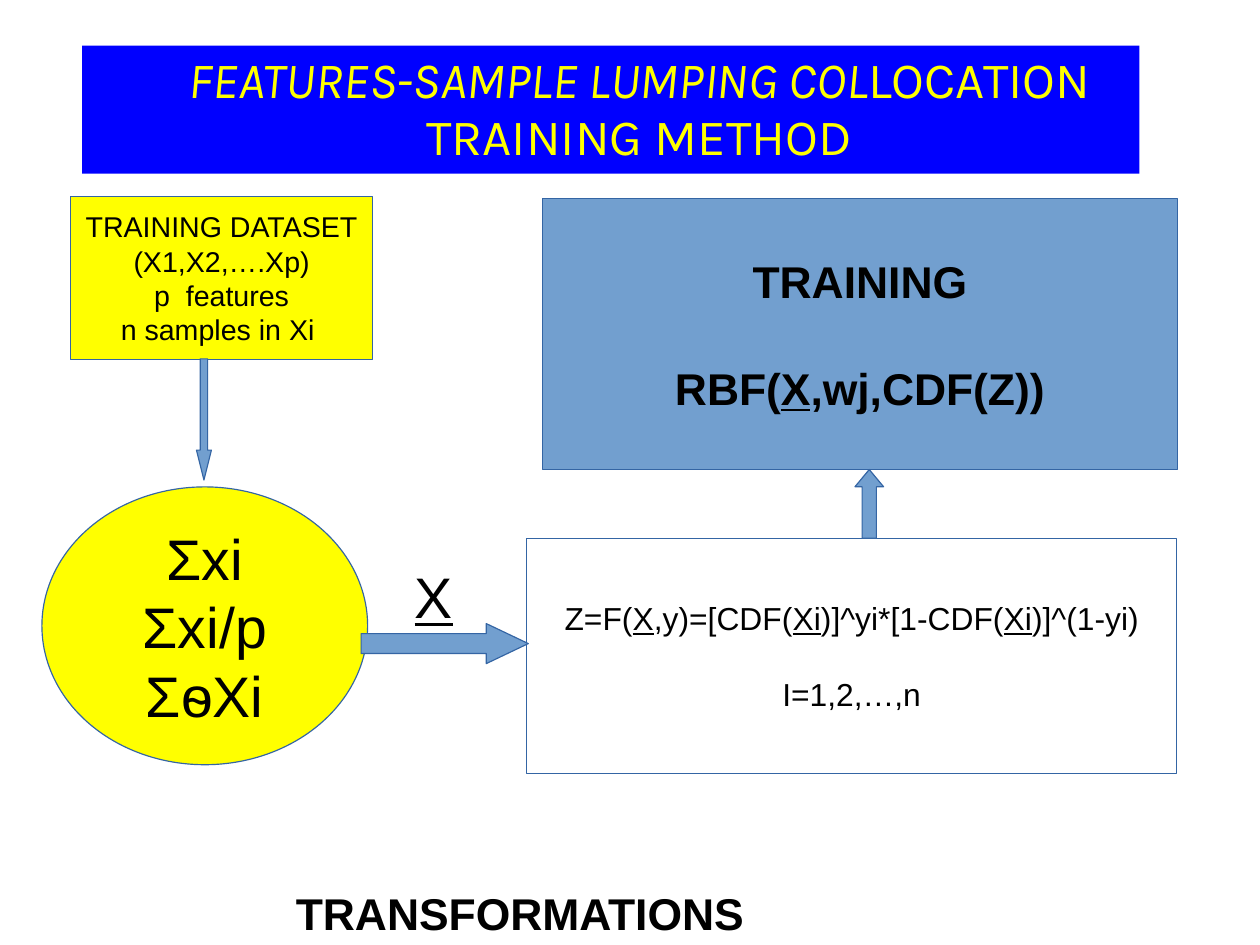
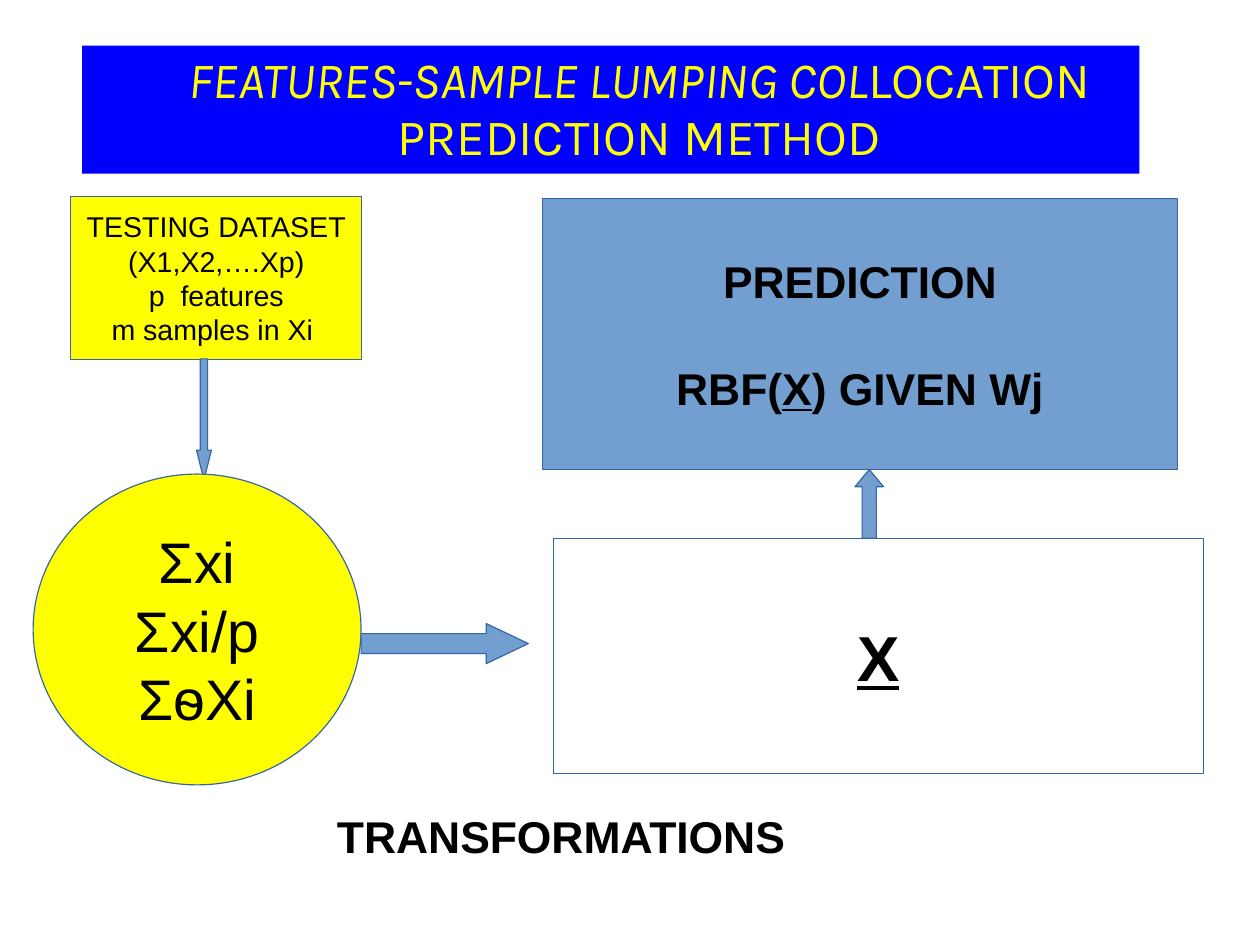
from pptx import Presentation
from pptx.dml.color import RGBColor
from pptx.enum.shapes import MSO_SHAPE
from pptx.enum.text import MSO_ANCHOR, MSO_AUTO_SIZE, PP_ALIGN
from pptx.util import Pt

BLUE, YELLOW, STEEL, EDGE = "0000FF", "FFFF00", "729FCF", "3465A4"
WHITE, BLACK = "FFFFFF", "000000"
BODY_FONT, TITLE_FONT = "Arial", "Karla"
SUMS = ["Σxi", "Σxi/p", "ΣѳXi"]
ARROWS = [
    (MSO_SHAPE.DOWN_ARROW, (123.8, 226.1, 9.4, 76.3), 2),
    (MSO_SHAPE.RIGHT_ARROW, (227.5, 392.8, 105.3, 25.2), 1.05),
    (MSO_SHAPE.UP_ARROW, (538.6, 295.8, 18, 43.2), 0.6),
]


def paint(fill, color):
    """Make a fill solid in a hex colour."""
    fill.solid()
    fill.fore_color.rgb = RGBColor.from_string(color)


def write(tf, lines, size, bold=False, gap=0, align=PP_ALIGN.CENTER):
    """Write one paragraph per line; underscores enclose underlined text."""
    for i, line in enumerate(lines):
        p = tf.paragraphs[0] if i == 0 else tf.add_paragraph()
        p.alignment = align
        p.space_before = Pt(gap if i else 0)
        p.font.name, p.font.size, p.font.bold = BODY_FONT, Pt(size), bold
        p.font.color.rgb = RGBColor.from_string(BLACK)
        for k, part in enumerate(line.split("_")):
            if part:
                r = p.add_run()
                r.text = part
                if k % 2:
                    r.font.underline = True


def add_figure(s, kind, box, color):
    """Add a filled, thinly outlined preset shape."""
    sp = s.shapes.add_shape(kind, *map(Pt, box))
    sp.shadow.inherit = False
    paint(sp.fill, color)
    paint(sp.line.fill, EDGE)
    sp.line.width = Pt(0.75)
    return sp


def add_box(s, kind, box, color, lines, size, **style):
    """Add a shape with centred text."""
    tf = add_figure(s, kind, box, color).text_frame
    tf.word_wrap = False
    tf.vertical_anchor = MSO_ANCHOR.MIDDLE
    write(tf, lines, size, **style)


def add_arrow(s, kind, box, head):
    """Add a block arrow whose head length is relative to its width."""
    sp = add_figure(s, kind, box, STEEL)
    sp.adjustments[0] = 0.5
    sp.adjustments[1] = head


def add_label(s, box, text, size, bold=False):
    """Add a left-aligned text box."""
    tf = s.shapes.add_textbox(*map(Pt, box)).text_frame
    tf.word_wrap = True
    write(tf, [text], size, bold, align=PP_ALIGN.LEFT)


def set_title(s, method):
    """Place the title band and write its italic and upright parts."""
    sp = s.shapes.title
    sp.left, sp.top, sp.width, sp.height = map(Pt, (51.8, 28.8, 666, 80.6))
    paint(sp.fill, BLUE)
    tf = sp.text_frame
    tf.auto_size = MSO_AUTO_SIZE.NONE
    tf.word_wrap = True
    tf.vertical_anchor = MSO_ANCHOR.TOP
    p = tf.paragraphs[0]
    p.alignment = PP_ALIGN.CENTER
    p.line_spacing, p.space_before = Pt(36), Pt(8)
    p.font.name, p.font.size = TITLE_FONT, Pt(32)
    p.font.color.rgb = RGBColor.from_string(YELLOW)
    pPr = p._p.get_or_add_pPr()
    pPr.set("marL", str(Pt(36)))
    pPr.set("indent", "0")
    for text, italic in (("FEATURES-SAMPLE LUMPING COL", True),
                         (f"LOCATION {method} METHOD", False)):
        r = p.add_run()
        r.text, r.font.italic = text, italic


def add_flow(prs, method, dataset, count, dataset_width, ellipse, model,
             formula_left, formula, formula_style, caption):
    """Add a slide that shows the flow from dataset to model."""
    s = prs.slides.add_slide(prs.slide_layouts[5])
    set_title(s, method)
    add_box(s, MSO_SHAPE.RECTANGLE, (44.6, 123.8, dataset_width, 102.6), YELLOW,
            [f"{dataset} DATASET", "(X1,X2,….Xp)", "p  features",
             f"{count} samples in Xi "], 18)
    down, *others = ARROWS
    add_arrow(s, *down)
    add_box(s, MSO_SHAPE.OVAL, ellipse, YELLOW, SUMS, 36)
    add_box(s, MSO_SHAPE.RECTANGLE, (341.8, 125.1, 399.8, 170.6), STEEL,
            [method, model], 28, bold=True, gap=34)
    add_box(s, MSO_SHAPE.RECTANGLE, (formula_left, 339.1, 409.7, 148), WHITE,
            formula, **formula_style)
    for arrow in others:
        add_arrow(s, *arrow)
    add_label(s, (*caption, 339, 38.2), "TRANSFORMATIONS", 28, bold=True)
    return s


def main():
    """Build and save the presentation."""
    prs = Presentation()
    prs.slide_width, prs.slide_height = Pt(793.75), Pt(595.25)
    s = add_flow(prs, "TRAINING", "TRAINING", "n", 190.1,
                 (26.4, 306.7, 205.2, 175), "RBF(_X_,wj,CDF(Z))", 331.7,
                 ["Z=F(_X_,y)=[CDF(_Xi_)]^yi*[1-CDF(_Xi_)]^(1-yi)",
                  "I=1,2,…,n"], {"size": 20, "gap": 24}, (179.3, 554.4))
    add_label(s, (254.2, 349.9, 38.2, 47.5), "_X_", 36)
    add_flow(prs, "PREDICTION", "TESTING", "m", 183.4,
             (20.9, 298.6, 206.6, 195.8), "RBF(_X_) GIVEN Wj", 348.5,
             ["_X_"], {"size": 40, "bold": True}, (205.2, 506.2))
    prs.save("out.pptx")


if __name__ == "__main__":
    main()
